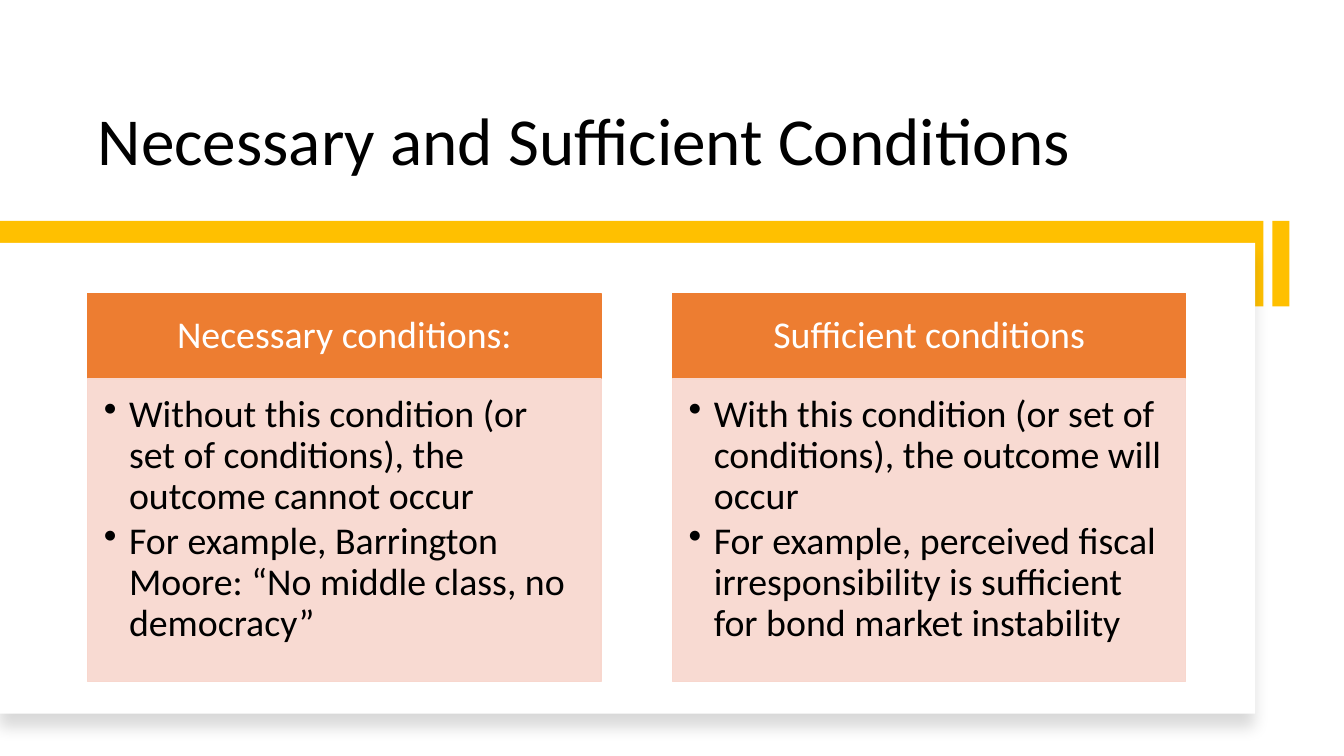
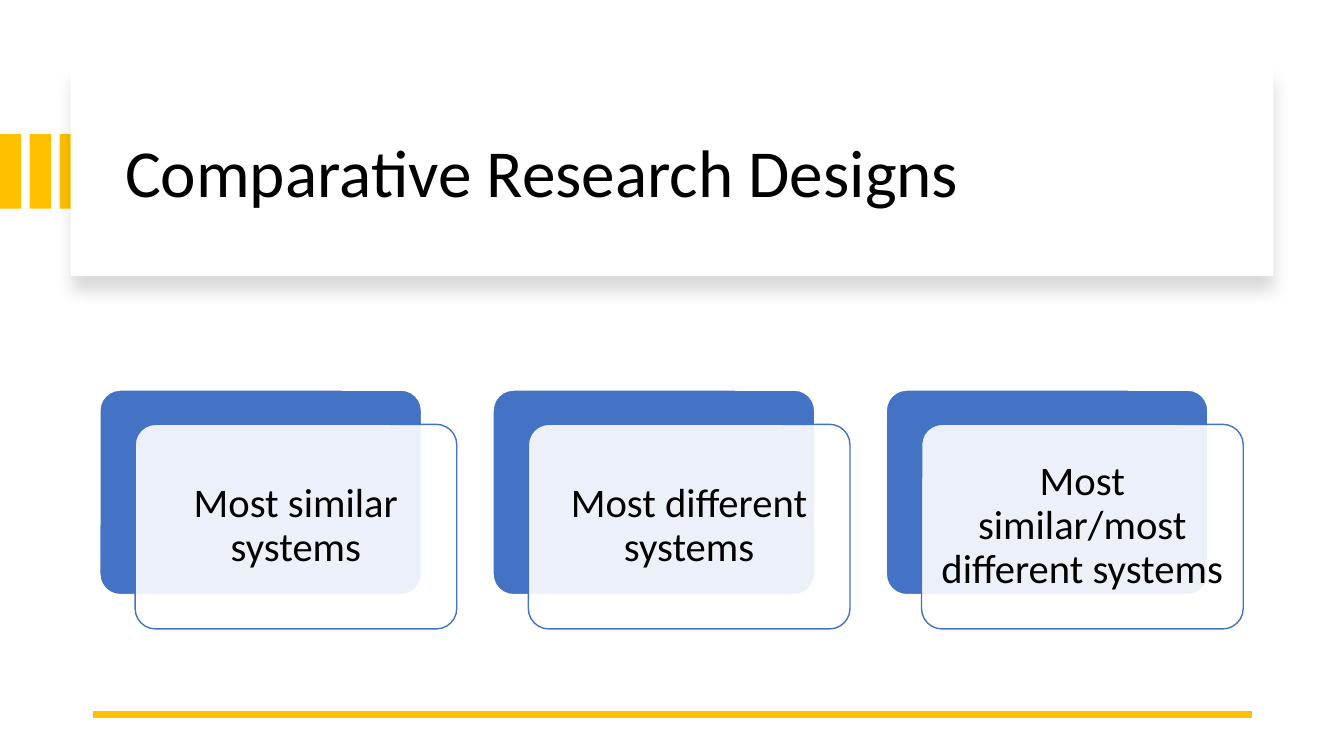
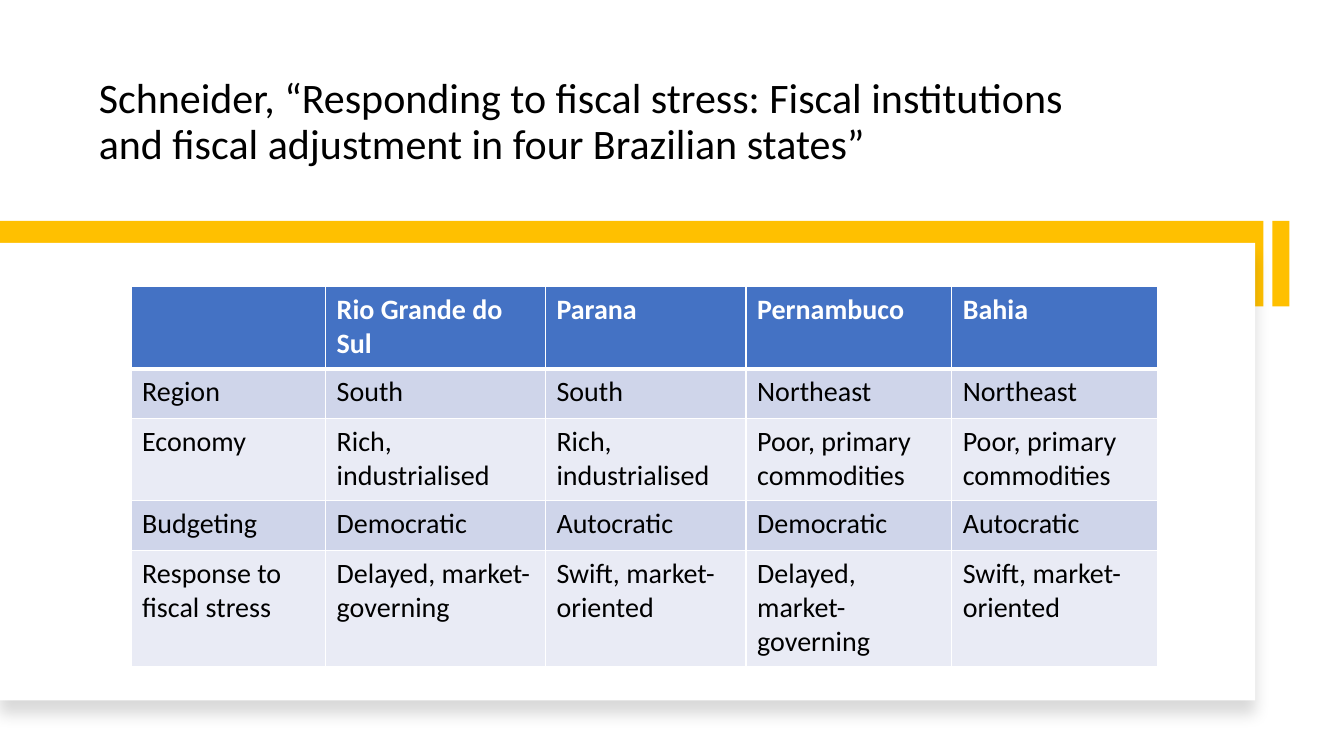
from lxml.etree import SubElement as Sub
from pptx import Presentation
from pptx.dml.color import RGBColor as Rgb
from pptx.enum.shapes import MSO_CONNECTOR as Link, MSO_SHAPE as Kind
from pptx.enum.text import MSO_ANCHOR as Anchor, MSO_AUTO_SIZE as Fit, PP_ALIGN as Align
from pptx.oxml.ns import qn
from pptx.util import Inches, Pt

HUE = {
    "gold": "FFC000", "white": "FFFFFF", "black": "000000",
    "orange": "ED7D31", "peach": "F8D7CE", "blue": "4472C4",
    "band": "CFD5EA", "pale": "E9EBF5",
}
FONT = "Calibri"


def tint(name):
    return Rgb.from_string(HUE[name])


def write(frame, lines, size, hue="black", align=Align.LEFT, lead=0.9,
          bold=False, after=0, bullet=False):
    for i, line in enumerate(lines):
        para = frame.add_paragraph() if i else frame.paragraphs[0]
        para.alignment = align
        para.line_spacing = lead
        para.space_before = Pt(0)
        para.space_after = Pt(after)
        if bullet:
            props = para._p.get_or_add_pPr()
            props.set("marL", str(Inches(0.25)))
            props.set("indent", str(Inches(-0.25)))
            Sub(props, qn("a:buChar")).set("char", "•")
        run = para.add_run()
        run.text = line
        font = run.font
        font.name, font.size, font.bold = FONT, Pt(size), bold
        font.color.rgb = tint(hue)


def set_frame(frame, anchor, pads):
    frame.word_wrap = True
    frame.auto_size = Fit.NONE
    frame.vertical_anchor = anchor
    (frame.margin_left, frame.margin_top,
     frame.margin_right, frame.margin_bottom) = map(Inches, pads)


def add_box(slide, box, fill, line=None, kind=Kind.RECTANGLE, alpha=None):
    shape = slide.shapes.add_shape(kind, *map(Inches, box))
    shape.shadow.inherit = False
    shape.fill.solid()
    shape.fill.fore_color.rgb = tint(fill)
    if alpha:
        color = shape._element.spPr.find(qn("a:solidFill"))[0]
        Sub(color, qn("a:alpha")).set("val", str(alpha * 1000))
    if line:
        shape.line.color.rgb = tint(line)
        shape.line.width = Pt(1)
    else:
        shape.line.fill.background()
    return shape


def add_card(slide, box):
    card = add_box(slide, box, "white")
    effect = card._element.spPr.find(qn("a:effectLst"))
    shade = Sub(effect, qn("a:outerShdw"), blurRad=str(Pt(11)),
                dist=str(Pt(10)), dir="5400000", algn="t", rotWithShape="0")
    color = Sub(shade, qn("a:srgbClr"), val=HUE["black"])
    Sub(color, qn("a:alpha"), val="15000")


def add_slide(deck):
    return deck.slides.add_slide(deck.slide_layouts[5])


def add_title(slide, box, text, size, anchor=Anchor.BOTTOM):
    title = slide.shapes.title
    slide.shapes._spTree.append(title._element)
    title.left, title.top, title.width, title.height = map(Inches, box)
    set_frame(title.text_frame, anchor, (0.1, 0.05, 0.1, 0.05))
    write(title.text_frame, [text], size)


def add_stage(slide, height):
    add_box(slide, (0, 2.19, 12.53, 0.85), "gold")
    add_box(slide, (12.62, 2.19, 0.17, 0.85), "gold")
    add_card(slide, (0, 2.41, 12.45, height))


def add_panel(slide, box, head, points):
    left, top, width, height = box
    bar = 0.85
    cap = add_box(slide, (left, top, width, bar), "orange", "orange")
    set_frame(cap.text_frame, Anchor.MIDDLE, (0.21, 0.12, 0.21, 0.12))
    write(cap.text_frame, [head], 27, "white", Align.CENTER)
    body = add_box(slide, (left, top + bar, width, height - bar),
                   "peach", "peach", alpha=90)
    set_frame(body.text_frame, Anchor.TOP, (0.16, 0.16, 0.21, 0.24))
    write(body.text_frame, points, 27, after=3, bullet=True)


def add_tile(slide, box, text):
    left, top, width, height = box
    back = add_box(slide, box, "blue", "white", Kind.ROUNDED_RECTANGLE)
    front = add_box(slide, (left + 0.35, top + 0.34, width, height),
                    "white", "blue", Kind.ROUNDED_RECTANGLE, 90)
    for shape in (back, front):
        shape.adjustments[0] = 0.1
    set_frame(front.text_frame, Anchor.MIDDLE, (0.12,) * 4)
    write(front.text_frame, [text], 29, align=Align.CENTER)


def add_rule(slide, left, top, width):
    rule = slide.shapes.add_connector(
        Link.STRAIGHT, *map(Inches, (left, top, left + width, top)))
    rule.line.color.rgb = tint("gold")
    rule.line.width = Pt(4.5)
    Sub(rule._element.spPr, qn("a:effectLst"))


def set_edges(cell, widths):
    props = cell._tc.get_or_add_tcPr()
    for side, width in zip("LRTB", widths):
        edge = Sub(props, qn("a:ln" + side), w=str(Pt(width)))
        fill = Sub(edge, qn("a:solidFill"))
        Sub(fill, qn("a:srgbClr"), val=HUE["white"])


def add_grid(slide, left, top, cols, rows, data):
    box = map(Inches, (left, top, sum(cols), sum(rows)))
    grid = slide.shapes.add_table(len(rows), len(cols), *box).table
    grid.first_row = grid.horz_banding = False
    for col, width in zip(grid.columns, cols):
        col.width = Inches(width)
    for r, (height, texts) in enumerate(zip(rows, data)):
        grid.rows[r].height = Inches(height)
        head = r == 0
        fill = "blue" if head else "band" if r % 2 else "pale"
        for c, text in enumerate(texts):
            cell = grid.cell(r, c)
            set_edges(cell, (1, 1, 3 if r == 1 else 1, 3 if head else 1))
            cell.fill.solid()
            cell.fill.fore_color.rgb = tint(fill)
            cell.margin_left = cell.margin_right = Inches(0.11)
            cell.margin_top = cell.margin_bottom = Inches(0.06)
            if text:
                write(cell.text_frame, [text], 20,
                      "white" if head else "black", lead=1, bold=head)


def make_terms(deck):
    slide = add_slide(deck)
    add_stage(slide, 4.67)
    add_title(slide, (0.87, 0.42, 11.01, 1.42),
              "Necessary and Sufficient Conditions", 48)
    panels = [
        ("Necessary conditions:", [
            "Without this condition (or set of conditions), the outcome cannot occur",
            "For example, Barrington Moore: “No middle class, no democracy”"]),
        ("Sufficient conditions", [
            "With this condition (or set of conditions), the outcome will occur",
            "For example, perceived fiscal irresponsibility is sufficient for bond market instability"]),
    ]
    for i, (head, points) in enumerate(panels):
        add_panel(slide, (0.87 + 5.8 * i, 2.91, 5.09, 3.85), head, points)


def make_designs(deck):
    slide = add_slide(deck)
    for i in range(3):
        add_box(slide, (0.295 * i, 1.33, 0.21, 0.74), "gold")
    add_card(slide, (0.7, 0.67, 11.93, 2.07))
    add_title(slide, (1.14, 0.89, 11.13, 1.7),
              "Comparative Research Designs", 48, Anchor.MIDDLE)
    add_rule(slide, 0.92, 7.09, 11.5)
    tiles = ["Most similar systems", "Most different systems",
             "Most similar/most different systems"]
    for i, text in enumerate(tiles):
        add_tile(slide, (0.99 + 3.9 * i, 3.87, 3.19, 2.03), text)


def make_states(deck):
    slide = add_slide(deck)
    add_stage(slide, 4.54)
    add_title(slide, (0.88, 0.42, 10.1, 1.3),
              "Schneider, “Responding to fiscal stress: Fiscal institutions "
              "and fiscal adjustment in four Brazilian states”", 30)
    data = [
        ["", "Rio Grande do Sul", "Parana", "Pernambuco", "Bahia"],
        ["Region"] + ["South"] * 2 + ["Northeast"] * 2,
        ["Economy"] + ["Rich, industrialised"] * 2 + ["Poor, primary commodities"] * 2,
        ["Budgeting"] + ["Democratic", "Autocratic"] * 2,
        ["Response to fiscal stress"]
        + ["Delayed, market-governing", "Swift, market-oriented"] * 2,
    ]
    add_grid(slide, 1.3, 2.84, [1.93, 2.18, 1.99, 2.04, 2.04],
             [0.82, 0.49, 0.82, 0.49, 1.15], data)


def main():
    deck = Presentation()
    deck.slide_width, deck.slide_height = Inches(13.33), Inches(7.5)
    make_terms(deck)
    make_designs(deck)
    make_states(deck)
    deck.save("out.pptx")


if __name__ == "__main__":
    main()
